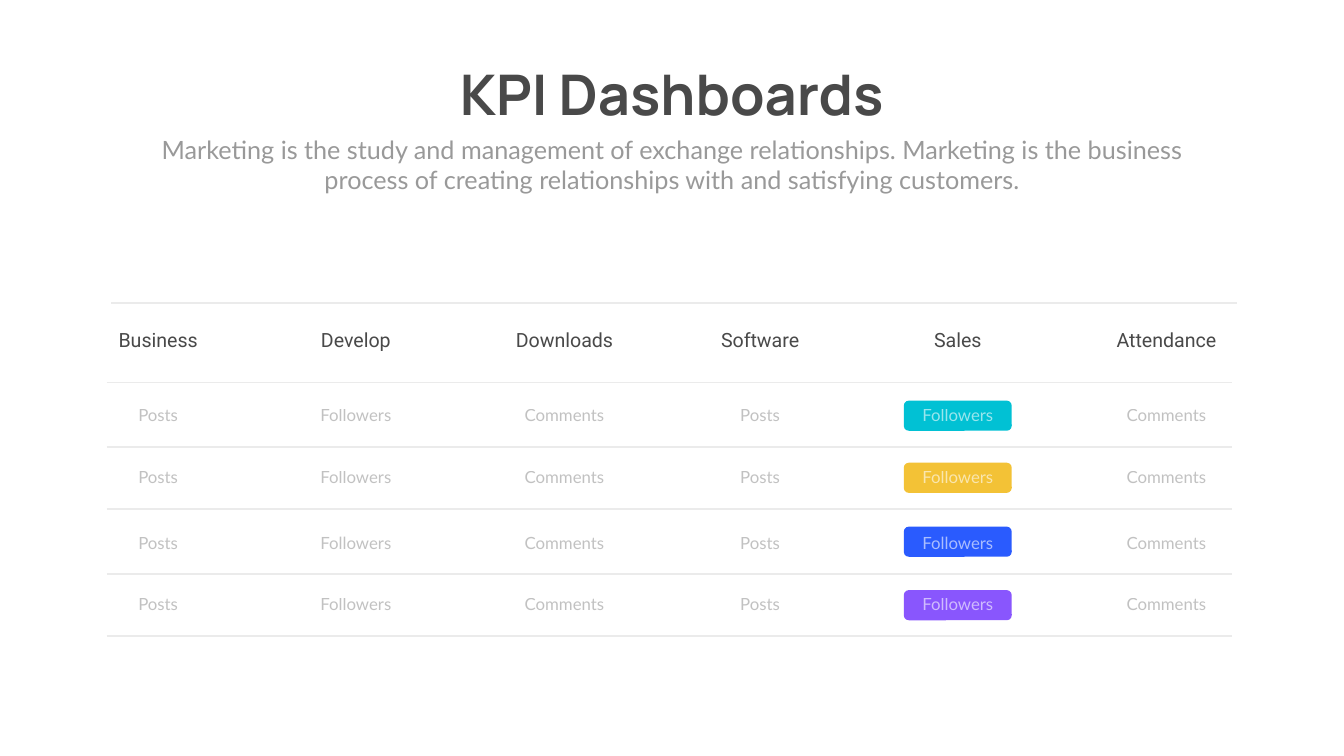
import dataclasses

import pptx
import pptx.dml.color
import pptx.enum.shapes
import pptx.enum.text
import pptx.oxml.ns
import pptx.oxml.xmlchemy
import pptx.util
from lxml import etree
from pptx.util import Cm

HUES = {
    "dark": "494949",
    "gray": "999999",
    "rule": "EBEBEB",
    "white": "FFFFFF",
    "teal": "01C1D4",
    "gold": "F3C236",
    "blue": "2A5BFE",
    "plum": "8956FD",
}


@dataclasses.dataclass
class Style:
    font: str
    size: int
    hue: str
    bold: bool = False
    alpha: int = 100


@dataclasses.dataclass
class Box:
    left: float
    top: float
    width: float
    height: float


@dataclasses.dataclass
class Col:
    head: str
    item: str
    mid: float
    span: float
    wide: float


@dataclasses.dataclass
class Row:
    text: float
    pill: float
    rule: float
    hue: str


TITLE = Style("Manrope", 80, "dark", bold=True)
INTRO = Style("Lato", 36, "gray")
HEAD = Style("Roboto", 28, "dark")
CELL = Style("Lato", 24, "gray", alpha=60)
LABEL = dataclasses.replace(CELL, hue="white")

HALF = 30.33
COLS = [
    Col("Business", "Posts", 7.97, 7.95, 3.53),
    Col("Develop", "Followers", 17.93, 10.39, 4.6),
    Col("Downloads", "Comments", 28.44, 10.39, 4.6),
]
COLS += [
    dataclasses.replace(col, head=head, mid=col.mid + HALF)
    for col, head in zip(COLS, ["Software", "Sales", "Attendance"])
]
ROWS = [
    Row(20.29, 20.19, 22.53, "teal"),
    Row(23.42, 23.32, 25.65, "gold"),
    Row(26.7, 26.54, 28.93, "blue"),
    Row(29.82, 29.74, 32.05, "plum"),
]
RULE_LEFT, RULE_WIDE = 5.38, 56.72
PILL_WIDE, PILL_HIGH = 5.44, 1.52


def rgb(hue: str) -> pptx.dml.color.RGBColor:
    return pptx.dml.color.RGBColor.from_string(HUES[hue])


def place(box: Box) -> list[int]:
    return [Cm(box.left), Cm(box.top), Cm(box.width), Cm(box.height)]


def write(shape, text: str, style: Style) -> None:
    frame = shape.text_frame
    frame.text = text
    para = frame.paragraphs[0]
    para.alignment = pptx.enum.text.PP_ALIGN.CENTER
    font = para.font
    font.name = style.font
    font.size = pptx.util.Pt(style.size)
    font.bold = style.bold
    font.color.rgb = rgb(style.hue)
    if style.alpha < 100:
        color = para._p.find(".//" + pptx.oxml.ns.qn("a:srgbClr"))
        alpha = etree.SubElement(color, pptx.oxml.ns.qn("a:alpha"))
        alpha.set("val", str(style.alpha * 1000))


def add_text(slide, text: str, box: Box, style: Style) -> None:
    shape = slide.shapes.add_textbox(*place(box))
    shape.text_frame.word_wrap = True
    write(shape, text, style)


def add_rule(slide, left: float, top: float) -> None:
    line = slide.shapes.add_connector(
        pptx.enum.shapes.MSO_CONNECTOR.STRAIGHT,
        Cm(left), Cm(top), Cm(left + RULE_WIDE), Cm(top),
    )
    line.line.color.rgb = rgb("rule")
    line.line.width = pptx.util.Pt(2)
    etree.SubElement(line._element.spPr, pptx.oxml.ns.qn("a:effectLst"))


def add_pill(slide, mid: float, row: Row) -> None:
    box = Box(mid - PILL_WIDE / 2, row.pill, PILL_WIDE, PILL_HIGH)
    pill = slide.shapes.add_shape(
        pptx.enum.shapes.MSO_SHAPE.ROUNDED_RECTANGLE, *place(box)
    )
    pill.shadow.inherit = False
    pill.fill.solid()
    pill.fill.fore_color.rgb = rgb(row.hue)
    pill.line.fill.background()


def add_title(slide, text: str, box: Box) -> None:
    title = slide.shapes.title
    title.left, title.top, title.width, title.height = place(box)
    frame = title.text_frame
    frame.word_wrap = False
    frame.auto_size = pptx.enum.text.MSO_AUTO_SIZE.NONE
    frame.vertical_anchor = pptx.enum.text.MSO_ANCHOR.MIDDLE
    write(title, text, TITLE)


def add_grid(slide) -> None:
    add_rule(slide, 5.61, 15.27)
    add_rule(slide, RULE_LEFT, 19.28)
    for col in COLS:
        box = Box(col.mid - col.span / 2, 16.38, col.span, 1.45)
        add_text(slide, col.head, box, HEAD)
    for row in ROWS:
        add_rule(slide, RULE_LEFT, row.rule)
        for col in COLS:
            style = CELL
            if col.head == "Sales":
                add_pill(slide, col.mid, row)
                style = LABEL
            box = Box(col.mid - col.wide / 2, row.text, col.wide, 1.27)
            add_text(slide, col.item, box, style)


def main() -> None:
    deck = pptx.Presentation()
    deck.slide_width, deck.slide_height = Cm(67.72), Cm(38.1)
    slide = deck.slides.add_slide(deck.slide_layouts[5])
    add_title(slide, "KPI Dashboards", Box(22.02, 2.84, 23.67, 3.68))
    add_text(
        slide,
        "Marketing is the study and management of exchange relationships. "
        "Marketing is the business process of creating relationships with "
        "and satisfying customers.",
        Box(7.42, 6.63, 52.88, 3.33),
        INTRO,
    )
    add_grid(slide)
    deck.save("out.pptx")


if __name__ == "__main__":
    main()
